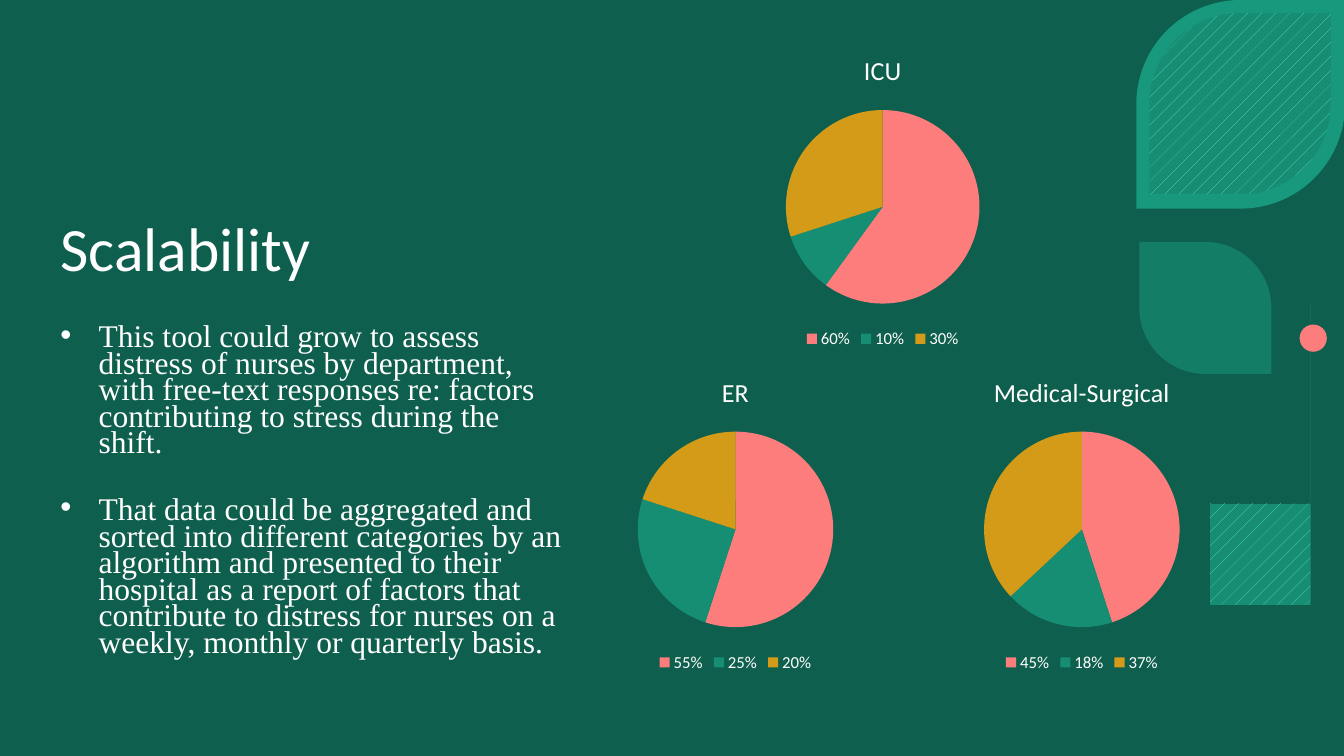
"""Build the Scalability slide with three department pie charts."""
from dataclasses import dataclass

import lxml.etree
import pptx
import pptx.chart.data
import pptx.dml.color
import pptx.enum.chart
import pptx.enum.dml
import pptx.enum.shapes
import pptx.enum.text
import pptx.oxml
import pptx.oxml.ns
import pptx.util

Inches = pptx.util.Inches
Pt = pptx.util.Pt
qn = pptx.oxml.ns.qn

COLORS = {
    "base": "09392F", "veil": "18997E", "white": "FFFFFF", "coral": "FD7C7C",
    "leaf": "178E74", "hatch": "4BE3C2", "rim": "1EBE9B", "mint": "69E7CC",
    "green": "168E74", "gold": "D39B17",
}
SLICE_COLORS = ("coral", "green", "gold")
BULLETS = (
    "This tool could grow to assess distress of nurses by department, with free-text "
    "responses re: factors contributing to stress during the shift.",
    "That data could be aggregated and sorted into different categories by an algorithm "
    "and presented to their hospital as a report of factors that contribute to distress "
    "for nurses on a weekly, monthly or quarterly basis.",
)
Point = tuple[float, float]


@dataclass(frozen=True)
class Box:
    left: float
    top: float
    width: float
    height: float

    def lengths(self) -> tuple:
        return tuple(Inches(v) for v in (self.left, self.top, self.width, self.height))


@dataclass(frozen=True)
class Paint:
    color: str
    opacity: int = 100
    hatch: str = ""


@dataclass(frozen=True)
class Decoration:
    kind: str
    box: Box
    paint: Paint
    corners: tuple[float, ...] = ()


@dataclass(frozen=True)
class Outline:
    """Start point, then segments of one point (line) or three points (curve)."""
    start: Point
    segments: tuple[tuple[Point, ...], ...]
    paint: Paint


@dataclass(frozen=True)
class Department:
    name: str
    box: Box
    shares: tuple[int, ...]


HATCHED = Paint("leaf", hatch="hatch")
DECORATIONS = (
    Decoration("RECTANGLE", Box(0, 0, 13.33, 7.5), Paint("veil", 40)),
    Decoration("OVAL", Box(12.89, 3.22, 0.27, 0.27), Paint("coral")),
    Decoration("ROUND_2_DIAG_RECTANGLE", Box(11.3, 2.4, 1.31, 1.31), Paint("leaf", 65), (0, 0.5)),
    Decoration("ROUND_2_DIAG_RECTANGLE", Box(11.27, 0, 2.07, 2.07), Paint("rim", 60), (0.5, 0)),
    Decoration("ROUND_2_DIAG_RECTANGLE", Box(11.4, 0.13, 1.8, 1.8), HATCHED, (0.5, 0)),
)
OUTLINES = (
    Outline((13.3, 6.12), (
        ((13.33, 6.12),), ((13.33, 5.01),), ((13.32, 5),),
        ((12.96, 4.63), (12.22, 4.77), (12.22, 4.77)),
        ((12.22, 4.77), (12.08, 5.5), (12.45, 5.87)),
        ((12.68, 6.1), (13.05, 6.13), (13.3, 6.12)),
    ), HATCHED),
    Outline((13.33, 3.03), (
        ((13.33, 4.74),), ((12.91, 4.31),),
        ((12.67, 4.08), (12.67, 3.69), (12.91, 3.45)),
    ), Paint("mint", 60)),
)
DEPARTMENTS = (
    Department("ICU", Box(6.58, 0.36, 4.35, 3.14), (60, 10, 30)),
    Department("ER", Box(5.12, 3.55, 4.35, 3.16), (55, 25, 20)),
    Department("Medical-Surgical", Box(8.75, 3.55, 3.96, 3.16), (45, 18, 37)),
)


def rgb(name: str) -> pptx.dml.color.RGBColor:
    return pptx.dml.color.RGBColor.from_string(COLORS[name])


def style_font(font, name: str, size: float) -> None:
    font.name = name
    font.size = Pt(size)
    font.bold = False
    font.color.rgb = rgb("white")


def apply_paint(shape, paint: Paint) -> None:
    shape.shadow.inherit = False
    shape.line.fill.background()
    if paint.hatch:
        shape.fill.patterned()
        shape.fill.pattern = pptx.enum.dml.MSO_PATTERN.PERCENT_5
        shape.fill.fore_color.rgb = rgb(paint.hatch)
        shape.fill.back_color.rgb = rgb(paint.color)
        return
    shape.fill.solid()
    shape.fill.fore_color.rgb = rgb(paint.color)
    if paint.opacity < 100:
        color = shape.fill._xPr.find(".//" + qn("a:srgbClr"))
        lxml.etree.SubElement(color, qn("a:alpha"), val=str(paint.opacity * 1000))


def add_decoration(slide, item: Decoration) -> None:
    kind = pptx.enum.shapes.MSO_SHAPE[{"RECTANGLE": "RECTANGLE"}.get(item.kind, item.kind)]
    shape = slide.shapes.add_shape(kind, *item.box.lengths())
    for index, corner in enumerate(item.corners):
        shape.adjustments[index] = corner
    apply_paint(shape, item.paint)


def curve(start: Point, a: Point, b: Point, end: Point, steps: int = 24) -> list[Point]:
    points = []
    for step in range(1, steps + 1):
        t = step / steps
        weights = ((1 - t) ** 3, 3 * t * (1 - t) ** 2, 3 * t * t * (1 - t), t ** 3)
        points.append(tuple(
            sum(w * p[axis] for w, p in zip(weights, (start, a, b, end))) for axis in (0, 1)))
    return points


def add_outline(slide, outline: Outline) -> None:
    points = [outline.start]
    for segment in outline.segments:
        points += curve(points[-1], *segment) if len(segment) == 3 else segment
    builder = slide.shapes.build_freeform(*points[0], scale=float(Inches(1)))
    builder.add_line_segments(points[1:], close=True)
    apply_paint(builder.convert_to_shape(), outline.paint)


def add_title(slide) -> None:
    frame = slide.shapes.add_textbox(*Box(0.5, 0.73, 4.72, 2.14).lengths()).text_frame
    frame.word_wrap = True
    frame.vertical_anchor = pptx.enum.text.MSO_ANCHOR.BOTTOM
    paragraph = frame.paragraphs[0]
    paragraph.line_spacing = 0.9
    run = paragraph.add_run()
    run.text = "Scalability"
    style_font(run.font, "Calibri", 44)


def add_bullets(slide) -> None:
    frame = slide.shapes.add_textbox(*Box(0.5, 2.83, 5.23, 3.67).lengths()).text_frame
    frame.word_wrap = True
    frame.margin_top = Inches(0.41)
    for index, text in enumerate(BULLETS):
        paragraph = frame.paragraphs[0] if index == 0 else frame.add_paragraph()
        properties = paragraph._p.get_or_add_pPr()
        properties.set("marL", str(Inches(0.38)))
        properties.set("indent", str(-Inches(0.38)))
        lxml.etree.SubElement(properties, qn("a:buFont"), typeface="Arial")
        lxml.etree.SubElement(properties, qn("a:buChar"), char="•")
        paragraph.line_spacing = 0.7
        if index:
            paragraph.space_before = Pt(29)
        run = paragraph.add_run()
        run.text = text
        style_font(run.font, "Times New Roman", 22.5)


def add_pie(slide, department: Department) -> None:
    data = pptx.chart.data.CategoryChartData()
    data.categories = [f"{share}%" for share in department.shares]
    data.add_series(department.name, department.shares)
    chart = slide.shapes.add_chart(
        pptx.enum.chart.XL_CHART_TYPE.PIE, *department.box.lengths(), data).chart
    style_font(chart.font, "Calibri", 10)
    chart.has_title = True
    run = chart.chart_title.text_frame.paragraphs[0].add_run()
    run.text = department.name
    style_font(run.font, "Calibri", 18.6)
    chart.has_legend = True
    chart.legend.position = pptx.enum.chart.XL_LEGEND_POSITION.BOTTOM
    chart.legend.include_in_layout = False
    style_font(chart.legend.font, "Calibri", 12)
    plot = chart.plots[0]
    plot.vary_by_categories = True
    for index, name in enumerate(SLICE_COLORS):
        fill = plot.series[0].points[index].format.fill
        fill.solid()
        fill.fore_color.rgb = rgb(name)


def main() -> None:
    deck = pptx.Presentation()
    deck.slide_width, deck.slide_height = Inches(13.33), Inches(7.5)
    slide = deck.slides.add_slide(deck.slide_layouts[6])
    slide.background.fill.solid()
    slide.background.fill.fore_color.rgb = rgb("base")
    for item in DECORATIONS:
        add_decoration(slide, item)
    for outline in OUTLINES:
        add_outline(slide, outline)
    add_title(slide)
    add_bullets(slide)
    for department in DEPARTMENTS:
        add_pie(slide, department)
    deck.save("out.pptx")


if __name__ == "__main__":
    main()
